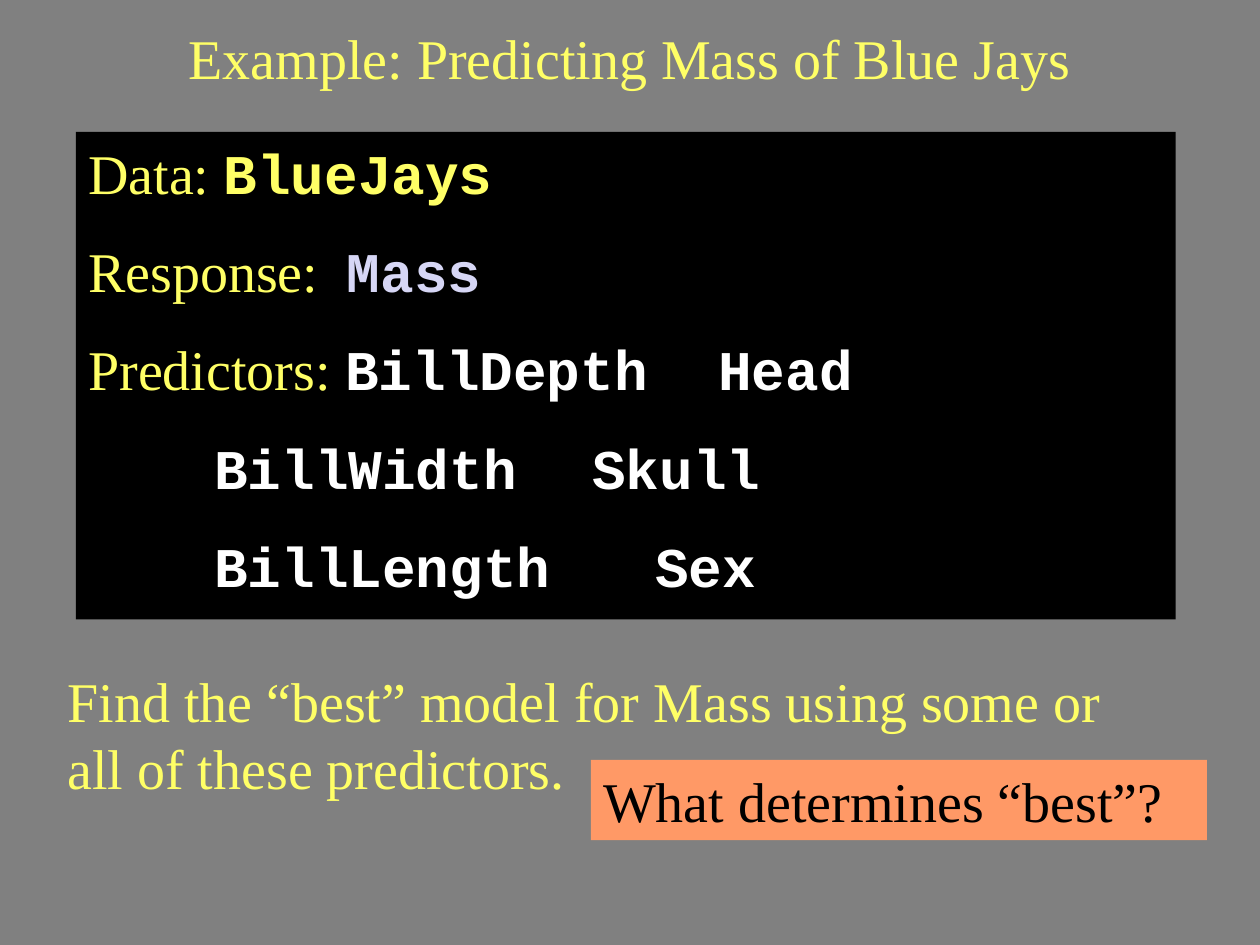
"""Build the Blue Jays model selection slide."""
import pptx
import pptx.dml.color
import pptx.enum.shapes
import pptx.enum.text
import pptx.util

RGBColor = pptx.dml.color.RGBColor
Cm = pptx.util.Cm
Pt = pptx.util.Pt
PP_ALIGN = pptx.enum.text.PP_ALIGN
MSO_ANCHOR = pptx.enum.text.MSO_ANCHOR

GREY = RGBColor(0x80, 0x80, 0x80)
YELLOW = RGBColor(0xFF, 0xFF, 0x66)
LAVENDER = RGBColor(0xD6, 0xD6, 0xF5)
ORANGE = RGBColor(0xFF, 0x99, 0x66)
BLACK = RGBColor(0x00, 0x00, 0x00)
WHITE = RGBColor(0xFF, 0xFF, 0xFF)


class Deck:
    """Hold the style and the current slide."""
    serif = "Times New Roman"
    mono = "Courier New"
    size = Pt(32)
    gap = Pt(17.8)

    def __init__(self, prs):
        self.s = prs.slides.add_slide(prs.slide_layouts[5])
        self.s.background.fill.solid()
        self.s.background.fill.fore_color.rgb = GREY

    def font(self, font, color, code=False):
        font.name = self.mono if code else self.serif
        font.size = self.size
        font.bold = code
        font.color.rgb = color

    def title(self, text, x, y, w, h):
        sp = self.s.shapes.title
        sp.left, sp.top, sp.width, sp.height = Cm(x), Cm(y), Cm(w), Cm(h)
        tf = sp.text_frame
        tf.text = text
        tf.vertical_anchor = MSO_ANCHOR.MIDDLE
        tf.paragraphs[0].alignment = PP_ALIGN.CENTER
        self.font(tf.paragraphs[0].font, YELLOW)

    def note(self, text, x, y, w, h):
        sp = self.s.shapes.add_textbox(Cm(x), Cm(y), Cm(w), Cm(h))
        self.fill_text(sp.text_frame, [[(text, YELLOW, False)]])

    def panel(self, lines, fill, x, y, w, h):
        rect = pptx.enum.shapes.MSO_SHAPE.RECTANGLE
        sp = self.s.shapes.add_shape(rect, Cm(x), Cm(y), Cm(w), Cm(h))
        sp.shadow.inherit = False
        sp.fill.solid()
        sp.fill.fore_color.rgb = fill
        sp.line.fill.background()
        self.fill_text(sp.text_frame, lines)

    def fill_text(self, tf, lines):
        tf.word_wrap = True
        tf.vertical_anchor = MSO_ANCHOR.TOP
        for i, runs in enumerate(lines):
            p = tf.add_paragraph() if i else tf.paragraphs[0]
            p.alignment = PP_ALIGN.LEFT
            if i:
                p.space_before = self.gap
            if len(runs) == 1:
                self.font(p.font, *runs[0][1:])
            for text, color, code in runs:
                r = p.add_run()
                r.text = text
                if len(runs) > 1:
                    self.font(r.font, color, code)


def main():
    prs = pptx.Presentation()
    prs.slide_width, prs.slide_height = Cm(25.4), Cm(19.05)
    deck = Deck(prs)
    deck.title("Example: Predicting Mass of Blue Jays", 1.9, 0.2, 21.6, 1.9)
    deck.panel([
        [("Data: ", YELLOW, False), ("BlueJays", YELLOW, True)],
        [("Response:  ", YELLOW, False), ("Mass", LAVENDER, True)],
        [("Predictors: ", YELLOW, False), ("BillDepth\t\tHead\t", WHITE, True)],
        [("\t\tBillWidth\t\tSkull", WHITE, True)],
        [("\t\tBillLength\t\tSex", WHITE, True)],
    ], BLACK, 1.53, 2.66, 22.17, 9.83)
    deck.note("Find the “best” model for Mass using some or all of these predictors.",
              1.11, 13.31, 22.35, 3)
    deck.panel([[("What determines “best”?", BLACK, False)]],
               ORANGE, 11.91, 15.32, 12.42, 1.62)
    prs.save("out.pptx")


if __name__ == "__main__":
    main()
